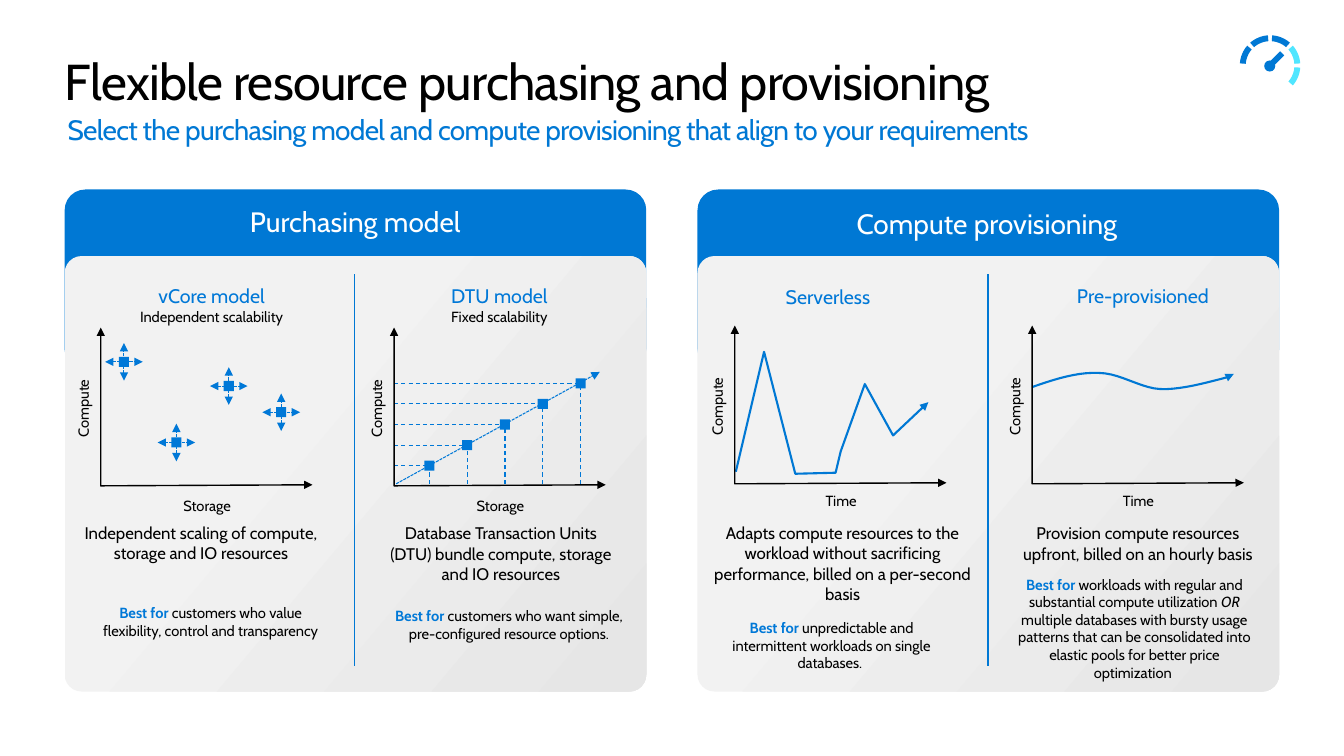
"""Build the slide on purchasing models and compute provisioning."""
from dataclasses import dataclass
from math import cos, radians, sin

from lxml.etree import SubElement
from pptx import Presentation
from pptx.dml.color import RGBColor as Rgb
from pptx.enum.dml import MSO_LINE_DASH_STYLE as Dash
from pptx.enum.shapes import MSO_CONNECTOR as Link, MSO_SHAPE as Preset
from pptx.enum.text import MSO_ANCHOR as Anchor, MSO_AUTO_SIZE as AutoSize, PP_ALIGN as Align
from pptx.oxml.ns import qn
from pptx.util import Inches, Pt

COLORS = {"header": "0078D4", "accent": "0078D7", "cyan": "50E6FF", "black": "000000",
          "white": "FFFFFF", "panel": "F2F2F2", "panel_end": "E6E6E6"}
FONT = "Cabin"
COLUMNS, ROWS = 160, 90
CELL = Inches(7.5) // ROWS
Point = tuple[float, float]
Box = tuple[float, float, float, float]


@dataclass
class Run:
    text: str
    size: float = 10.5
    color: str = "black"
    bold: bool = False
    italic: bool = False
    spacing: int = 0


@dataclass
class Card:
    left: float
    heading: str
    heading_box: Box
    divider: float


@dataclass
class Option:
    origin: Point
    axis: str
    axis_drop: float
    name: list[Run]
    name_box: Box
    summary: str
    summary_box: Box
    best_for: list[list[Run]]
    best_for_box: Box


BEST = Run("Best for ", color="accent", bold=True)
CARDS = [
    Card(7.7, "Purchasing model", (25.7, 23.8, 33.2, 4.6), 42.24),
    Card(83.04, "Compute provisioning", (98, 24, 39, 4.1), 117.6),
]
VCORE = Option(
    (12, 57.84), "Storage", 1.32,
    [Run("vCore model ", 14, "accent"), Run("Independent scalability")], (14.5, 33.24, 21.4, 4.9),
    "Independent scaling of compute, storage and IO resources", (8.04, 61.68, 31.8, 4.8),
    [[BEST, Run("customers who value flexibility, control and transparency")]],
    (11.04, 71.28, 28.1, 4.9))
DTU = Option(
    (46.92, 57.84), "Storage", 1.32,
    [Run("DTU model ", 14, "accent"), Run("Fixed scalability")], (51.24, 33.24, 16.44, 5.6),
    "Database Transaction Units (DTU) bundle compute, storage and IO resources",
    (44.52, 61.68, 30.24, 7.3),
    [[BEST, Run("customers who want simple, pre-configured resource options.")]],
    (44.88, 71.64, 31.44, 5))
SERVERLESS = Option(
    (87.48, 57.6), "Time", 0.96,
    [Run("Serverless", 14, "accent")], (91.2, 33.36, 14.76, 4.7),
    "Adapts compute resources to the workload without sacrificing performance, "
    "billed on a per-second basis", (83.52, 61.68, 33.6, 10.1),
    [[BEST, Run("unpredictable and intermittent workloads on single databases. ")]],
    (85.92, 73.08, 26.16, 8.2))
PREPROVISIONED = Option(
    (122.88, 57.6), "Time", 0.96,
    [Run("Pre-provisioned", 14, "accent")], (124.32, 33.24, 23.52, 4.1),
    "Provision compute resources upfront, billed on an hourly basis",
    (119.76, 61.68, 31.44, 5.9),
    [[BEST, Run("workloads with regular and substantial compute utilization "),
      Run("OR", italic=True)],
     [Run("multiple databases with bursty usage patterns that can be consolidated "
          "into elastic pools for better price optimization ")]],
    (119.76, 67.92, 30.6, 14.2))
VCORE_HEIGHTS = [14.76, 5.16, 11.88, 8.76]
SERVERLESS_LOAD = [(0.12, 1.44), (3.48, 15.72), (7.2, 1.2), (12, 1.32),
                   (12.6, 3.84), (15.48, 11.88), (18.84, 5.76), (23.04, 9.72)]
STEADY_LOAD = [(0, 11.52), (2.76, 12.48), (5.4, 13.32), (7.92, 13.2), (10.44, 13.2),
               (12.84, 11.4), (15.24, 11.28), (17.64, 11.16), (21, 12.12), (22.44, 12.48),
               (23.88, 12.84), (23.88, 12.96), (24, 13.08)]

deck = Presentation()
deck.slide_width, deck.slide_height = COLUMNS * CELL, ROWS * CELL
slide = deck.slides.add_slide(deck.slide_layouts[1])
shapes = slide.shapes


def cells(*lengths: float) -> list[int]:
    return [round(length * CELL) for length in lengths]


def rgb(color: str) -> Rgb:
    return Rgb.from_string(COLORS[color])


def write(frame, paragraphs: list[list[Run]], align=Align.CENTER) -> None:
    frame.word_wrap = True
    for index, runs in enumerate(paragraphs):
        paragraph = frame.add_paragraph() if index else frame.paragraphs[0]
        paragraph.alignment = align
        for part in runs:
            run = paragraph.add_run()
            run.text = part.text
            font = run.font
            font.name, font.size = FONT, Pt(part.size)
            font.bold, font.italic = part.bold, part.italic
            font.color.rgb = rgb(part.color)
            if part.spacing:
                run.font._element.set("spc", str(part.spacing))


def add_text(box: Box, paragraphs: list[list[Run]], inset: bool = True, turn: int = 0) -> None:
    label = shapes.add_textbox(*cells(*box))
    label.rotation = turn
    if not inset:
        clear_margins(label.text_frame)
    write(label.text_frame, paragraphs)


def clear_margins(frame) -> None:
    frame.margin_left = frame.margin_right = frame.margin_top = frame.margin_bottom = 0


def fill_placeholder(holder, box: Box, run: Run) -> None:
    holder.left, holder.top, holder.width, holder.height = cells(*box)
    frame = holder.text_frame
    clear_margins(frame)
    frame.vertical_anchor, frame.auto_size = Anchor.TOP, AutoSize.SHAPE_TO_FIT_TEXT
    properties = frame.paragraphs[0]._p.get_or_add_pPr()
    properties.set("marL", "0")
    properties.set("indent", "0")
    SubElement(properties, qn("a:buNone"))
    frame.paragraphs[0].space_before = Pt(0)
    write(frame, [[run]], Align.LEFT)


def style_line(line, color: str, width: float, dash=None, head=False, tail=False) -> None:
    line.color.rgb, line.width = rgb(color), Pt(width)
    if dash:
        line.dash_style = dash
    for end, wanted in (("a:headEnd", head), ("a:tailEnd", tail)):
        if wanted:
            SubElement(line._get_or_add_ln(), qn(end), type="triangle")


def add_line(start: Point, end: Point, color="accent", width=0.75, dash=None,
             head=False, tail=False) -> None:
    link = shapes.add_connector(Link.STRAIGHT, *cells(*start, *end))
    style_line(link.line, color, width, dash, head, tail)
    SubElement(link.element.spPr, qn("a:effectLst"))


def add_solid(preset, box: Box, color: str):
    solid = shapes.add_shape(preset, *cells(*box))
    solid.shadow.inherit = False
    solid.fill.solid()
    solid.fill.fore_color.rgb = rgb(color)
    solid.line.fill.background()
    return solid


def add_outline(points: list[Point], closed: bool):
    builder = shapes.build_freeform(*cells(*points[0]))
    builder.add_line_segments([cells(*point) for point in points[1:]], close=closed)
    outline = builder.convert_to_shape()
    outline.shadow.inherit = False
    return outline


def add_polygon(points: list[Point], color: str) -> None:
    polygon = add_outline(points, True)
    polygon.fill.solid()
    polygon.fill.fore_color.rgb = rgb(color)
    polygon.line.fill.background()


def add_trace(points: list[Point], color: str, width: float, head: bool = False) -> None:
    trace = add_outline(points, False)
    trace.fill.background()
    style_line(trace.line, color, width, head=head, tail=True)


def plot(option: Option, x: float, height: float) -> Point:
    return option.origin[0] + x, option.origin[1] - height


def bezier(knots: list[Point], steps: int = 10) -> list[Point]:
    curve = [knots[0]]
    for first in range(0, len(knots) - 1, 3):
        for step in range(1, steps + 1):
            t = step / steps
            weights = ((1 - t) ** 3, 3 * t * (1 - t) ** 2, 3 * t * t * (1 - t), t ** 3)
            pairs = list(zip(weights, knots[first:first + 4]))
            curve.append((sum(w * k[0] for w, k in pairs), sum(w * k[1] for w, k in pairs)))
    return curve


def add_marker(center: Point) -> None:
    add_solid(Preset.RECTANGLE, (center[0] - 0.6, center[1] - 0.6, 1.2, 1.2), "accent")


def add_card(card: Card) -> None:
    header = add_solid(Preset.ROUNDED_RECTANGLE, (card.left, 22.56, 69.24, 21.48), "header")
    header.adjustments[0] = 0.114
    panel = add_solid(Preset.ROUNDED_RECTANGLE, (card.left, 30.48, 69.24, 51.84), "panel")
    panel.adjustments[0] = 0.039
    panel.fill.gradient()
    panel.fill.gradient_angle = 320
    for stop, place, color in zip(panel.fill.gradient_stops, (0.32, 1), ("panel", "panel_end")):
        stop.position, stop.color.rgb = place, rgb(color)
    add_line((card.divider, 32.64), (card.divider, 79.32), "header", 1)
    add_text(card.heading_box, [[Run(card.heading, 20, "white")]])


def add_option(option: Option) -> None:
    x, y = option.origin
    add_text(option.name_box, [option.name])
    add_trace([(x, y - 18.84), (x, y), (x + 25.2, y - 0.12)], "black", 1, head=True)
    add_text((x + 8.1, y + option.axis_drop, 9.12, 2.16), [[Run(option.axis)]], False)
    add_text((x - 6.65, y - 10.3, 9.12, 2.16), [[Run("Compute")]], False, 270)
    add_text(option.summary_box, [[Run(option.summary, 12)]])
    add_text(option.best_for_box, option.best_for)


def add_vcore_points() -> None:
    for index, height in enumerate(VCORE_HEIGHTS):
        x, y = plot(VCORE, 2.76 + 6.24 * index, height)
        add_marker((x, y))
        for dx, dy in ((0, 2.24), (2.24, 0)):
            add_line((x - dx, y + dy), (x + dx, y - dy), dash=Dash.SQUARE_DOT,
                     head=True, tail=True)


def add_dtu_steps() -> None:
    add_line(plot(DTU, 0.24, 0.24), plot(DTU, 24.48, 13.56), dash=Dash.SQUARE_DOT, tail=True)
    for index in range(5):
        x, height = 4.2 + 4.5 * index, 2.4 + 2.45 * index
        add_line(plot(DTU, x, 0.24), plot(DTU, x, height), dash=Dash.DASH)
        add_line(plot(DTU, 0, height), plot(DTU, x, height), dash=Dash.DASH)
        add_marker(plot(DTU, x, height))


def add_gauge(x: float, y: float) -> None:
    def rim(radius: float, degrees: float) -> Point:
        return x - radius * cos(radians(degrees)), y - radius * sin(radians(degrees))

    for segment in range(5):
        angles = [45 * segment + 4 + 37 * step / 8 for step in range(9)]
        outer = [rim(3.6, angle) for angle in angles]
        inner = [rim(2.9, angle) for angle in reversed(angles)]
        add_polygon(outer + inner, "header" if segment < 3 else "cyan")
    add_solid(Preset.OVAL, (x - 0.7, y - 0.6, 1.32, 1.32), "header")
    needle = [(0.12, 0.36), (-0.36, -0.12), (1.2, -1.68), (1.68, -1.2)]
    add_polygon([(x + dx, y + dy) for dx, dy in needle], "header")


fill_placeholder(shapes.title, (7.7, 6, 144.6, 7.3),
                 Run("Flexible resource purchasing and provisioning", 36, spacing=-50))
fill_placeholder(slide.placeholders[1], (8.04, 13.44, 129.24, 5.64),
                 Run("Select the purchasing model and compute provisioning that align "
                     "to your requirements", 20, "header", spacing=-50))
for card in CARDS:
    add_card(card)
add_vcore_points()
add_dtu_steps()
add_trace([plot(SERVERLESS, *load) for load in SERVERLESS_LOAD], "header", 1.5)
add_trace(bezier([plot(PREPROVISIONED, *load) for load in STEADY_LOAD]), "header", 1.5)
for option in (VCORE, DTU, SERVERLESS, PREPROVISIONED):
    add_option(option)
add_gauge(151.2, 7.8)
deck.save("out.pptx")
